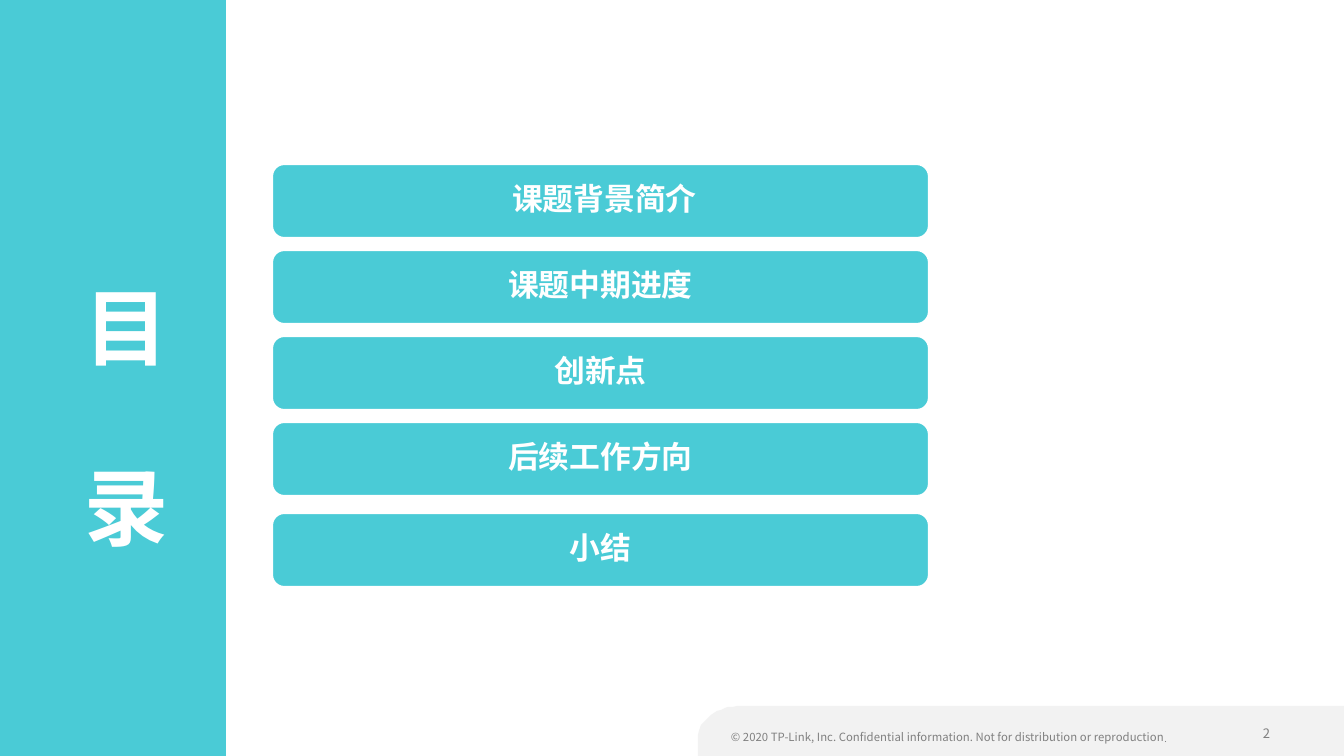
import pptx
import pptx.dml.color
import pptx.enum.shapes
import pptx.enum.text
import pptx.oxml.ns
import pptx.util
from lxml import etree

COLORS = {"teal": "4ACBD6", "white": "FFFFFF", "panel": "F2F2F2", "gray": "808080"}
FONT = "Noto Sans CJK SC"
EMU_PER_PX = 914400 / 100.8
SHAPES = pptx.enum.shapes.MSO_SHAPE
ALIGN = pptx.enum.text.PP_ALIGN
ANCHOR = pptx.enum.text.MSO_ANCHOR


def px(length):
    return pptx.util.Emu(round(length * EMU_PER_PX))


def rgb(name):
    return pptx.dml.color.RGBColor.from_string(COLORS[name])


class AgendaSlide:
    """Draws the elements of an agenda slide in one shared style."""

    def __init__(self, deck):
        self.slide = deck.slides.add_slide(deck.slide_layouts[6])
        self.shapes = self.slide.shapes

    def paint(self, shape, fill, line=None):
        shape.shadow.inherit = False
        shape.fill.solid()
        shape.fill.fore_color.rgb = rgb(fill)
        if line:
            shape.line.color.rgb = rgb(line)
            shape.line.width = pptx.util.Pt(1.5)
        else:
            shape.line.fill.background()

    def style_run(self, run, size, color, bold=False, raised=False):
        run.font.size = pptx.util.Pt(size)
        run.font.bold = bold
        run.font.color.rgb = rgb(color)
        run.font.name = FONT
        properties = run._r.get_or_add_rPr()
        etree.SubElement(properties, pptx.oxml.ns.qn("a:ea"), typeface=FONT)
        if raised:
            properties.set("baseline", "30000")

    def block(self, box, kind, fill, line=None):
        shape = self.shapes.add_shape(kind, *map(px, box))
        self.paint(shape, fill, line)
        return shape

    def bar(self, box, topic, shift):
        bar = self.block(box, SHAPES.ROUNDED_RECTANGLE, "teal", "white")
        frame = bar.text_frame
        frame.margin_left = px(7 + 2 * shift)
        frame.margin_right = frame.margin_top = frame.margin_bottom = px(7)
        frame.vertical_anchor = ANCHOR.MIDDLE
        frame.text = topic
        paragraph = frame.paragraphs[0]
        paragraph.alignment = ALIGN.CENTER
        paragraph.line_spacing = 0.9
        self.style_run(paragraph.runs[0], 22, "white", bold=True)

    def heading(self, box, characters, gap):
        frame = self.shapes.add_textbox(*map(px, box)).text_frame
        frame.word_wrap = True
        frame.margin_left = frame.margin_right = 0
        frame.text = "\n".join(characters)
        for index, paragraph in enumerate(frame.paragraphs):
            paragraph.alignment = ALIGN.CENTER
            if index:
                paragraph.space_before = pptx.util.Pt(gap)
            self.style_run(paragraph.runs[0], 60, "white", bold=True)

    def footnote(self, box, parts):
        frame = self.shapes.add_textbox(*map(px, box)).text_frame
        frame.word_wrap = True
        for words, size in parts:
            run = frame.paragraphs[0].add_run()
            run.text = words
            self.style_run(run, size, "gray", raised=True)

    def footer_panel(self, left, top, right, bottom):
        start, bend_a, bend_b, end = (left, 738), (left, 720), (718, top), (741, top)
        steps = 16
        corner = []
        for step in range(1, steps + 1):
            t = step / steps
            weights = ((1 - t) ** 3, 3 * t * (1 - t) ** 2, 3 * t * t * (1 - t), t ** 3)
            corner.append(tuple(
                sum(weight * value for weight, value in zip(weights, axis))
                for axis in zip(start, bend_a, bend_b, end)))
        outline = self.shapes.build_freeform(*start, scale=EMU_PER_PX)
        outline.add_line_segments(corner + [(right, top), (right, bottom), (left, bottom)])
        self.paint(outline.convert_to_shape(), "panel")


def main():
    deck = pptx.Presentation()
    deck.slide_width, deck.slide_height = px(1344), px(756)
    agenda = AgendaSlide(deck)

    agenda.footer_panel(698, 706, 1344, 756)
    agenda.footnote((1253, 718, 47, 37), [("2", 16)])
    agenda.footnote((721, 723, 523, 29), [
        ("© 2020 TP-Link, Inc. Confidential information. "
         "Not for distribution or reproduction", 14),
        (".", 11)])

    agenda.block((0, 0, 226, 756), SHAPES.RECTANGLE, "teal")
    agenda.heading((74, 271, 104, 332), "目录", gap=56)

    topics = [("课题背景简介", 0, 4), ("课题中期进度", 0, 0), ("创新点", 0, 0),
              ("后续工作方向", 0, 0), ("小结", 5, 0)]
    for row, (topic, drop, shift) in enumerate(topics):
        agenda.bar((272, 164 + 86 * row + drop, 657, 74), topic, shift)

    deck.save("out.pptx")


if __name__ == "__main__":
    main()
